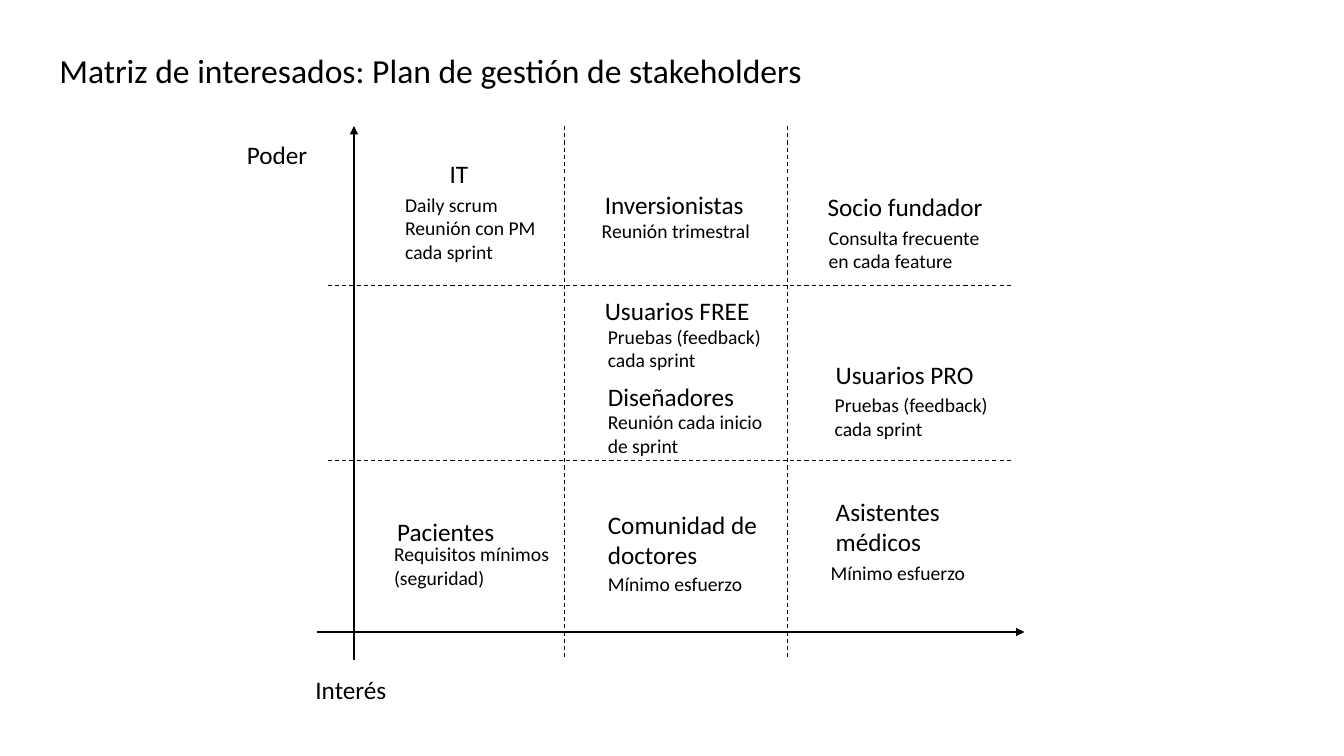
from dataclasses import dataclass

from lxml.etree import SubElement
from pptx import Presentation
from pptx.dml.color import RGBColor
from pptx.enum.dml import MSO_LINE
from pptx.enum.shapes import MSO_CONNECTOR
from pptx.enum.text import MSO_AUTO_SIZE
from pptx.oxml.ns import qn
from pptx.slide import Slide
from pptx.util import Emu, Pt

PX = 9144  # EMU per px, 100 px to the inch
BLACK = RGBColor(0x00, 0x00, 0x00)
FONT = "Calibri"
TITLE_SIZE, NAME_SIZE, ACTION_SIZE = 24, 18, 14
NAME_WIDTH, ACTION_WIDTH = 205, 190

# Matrix geometry
GRID_TOP, GRID_BOTTOM = 125, 655
GRID_LEFT, GRID_RIGHT = 325, 1003
COLUMN_BORDERS = (560, 781)
ROW_BORDERS = (283, 457)


@dataclass(frozen=True)
class Label:
    text: str
    left: int
    top: int
    lines: int = 1


@dataclass(frozen=True)
class Stakeholder:
    name: Label
    action: Label


@dataclass(frozen=True)
class Rule:
    x1: int
    y1: int
    x2: int
    y2: int
    is_axis: bool = False


TITLE = Label("Matriz de interesados: Plan de gestión de stakeholders", 49, 45)
AXIS_LABELS = (Label("Poder", 235, 133), Label("Interés", 303, 664))

STAKEHOLDERS = (
    # High power
    Stakeholder(Label("IT", 436, 152),
                Label("Daily scrum\nReunión con PM cada sprint", 392, 186, 3)),
    Stakeholder(Label("Inversionistas", 590, 183),
                Label("Reunión trimestral", 587, 212)),
    Stakeholder(Label("Socio fundador", 811, 185),
                Label("Consulta frecuente en cada feature", 812, 219, 2)),
    # Medium power
    Stakeholder(Label("Usuarios FREE", 590, 288),
                Label("Pruebas (feedback) cada sprint", 593, 317, 2)),
    Stakeholder(Label("Diseñadores", 593, 373),
                Label("Reunión cada inicio de sprint", 593, 402, 2)),
    Stakeholder(Label("Usuarios PRO", 819, 352),
                Label("Pruebas (feedback) cada sprint", 818, 385, 2)),
    # Low power
    Stakeholder(Label("Pacientes", 384, 507),
                Label("Requisitos mínimos (seguridad)", 381, 533, 2)),
    Stakeholder(Label("Comunidad de doctores", 593, 500, 2),
                Label("Mínimo esfuerzo", 593, 562)),
    Stakeholder(Label("Asistentes médicos", 819, 487, 2),
                Label("Mínimo esfuerzo", 814, 552)),
)

RULES = (
    Rule(351, GRID_BOTTOM, 351, GRID_TOP, is_axis=True),
    Rule(314, 627, 1016, 627, is_axis=True),
    *(Rule(x, GRID_TOP, x, GRID_BOTTOM) for x in COLUMN_BORDERS),
    *(Rule(GRID_LEFT, y, GRID_RIGHT, y) for y in ROW_BORDERS),
)


def px(length: int) -> Emu:
    return Emu(length * PX)


def draw_rule(slide: Slide, rule: Rule) -> None:
    """Draw an axis with an arrowhead, or a dashed cell border."""
    connector = slide.shapes.add_connector(
        MSO_CONNECTOR.STRAIGHT, px(rule.x1), px(rule.y1), px(rule.x2), px(rule.y2))
    line = connector.line
    line.color.rgb = BLACK
    line.width = Pt(1.5 if rule.is_axis else 0.75)
    properties = connector._element.spPr
    if rule.is_axis:
        SubElement(properties.find(qn("a:ln")), qn("a:tailEnd"), type="triangle")
    else:
        line.dash_style = MSO_LINE.DASH
    SubElement(properties, qn("a:effectLst"))


def draw_label(slide: Slide, label: Label, size: int, width: int) -> None:
    """Write a label in a box as high as its lines plus the margins."""
    height = round(10 + label.lines * size * 1.695)
    box = slide.shapes.add_textbox(
        px(label.left), px(label.top), px(width), px(height))
    frame = box.text_frame
    frame.word_wrap = True
    frame.auto_size = MSO_AUTO_SIZE.SHAPE_TO_FIT_TEXT
    frame.text = label.text
    for paragraph in frame.paragraphs:
        paragraph.font.name = FONT
        paragraph.font.size = Pt(size)
        paragraph.font.color.rgb = BLACK


def main() -> None:
    presentation = Presentation()
    presentation.slide_width = px(1333)
    presentation.slide_height = px(750)
    slide = presentation.slides.add_slide(presentation.slide_layouts[6])

    # Axes and cell borders
    for rule in RULES:
        draw_rule(slide, rule)

    # Title and axis names
    draw_label(slide, TITLE, TITLE_SIZE, 903)
    for axis_label in AXIS_LABELS:
        draw_label(slide, axis_label, NAME_SIZE, NAME_WIDTH)

    # Stakeholders and how each is managed
    for stakeholder in STAKEHOLDERS:
        draw_label(slide, stakeholder.name, NAME_SIZE, NAME_WIDTH)
        draw_label(slide, stakeholder.action, ACTION_SIZE, ACTION_WIDTH)

    presentation.save("out.pptx")


if __name__ == "__main__":
    main()
